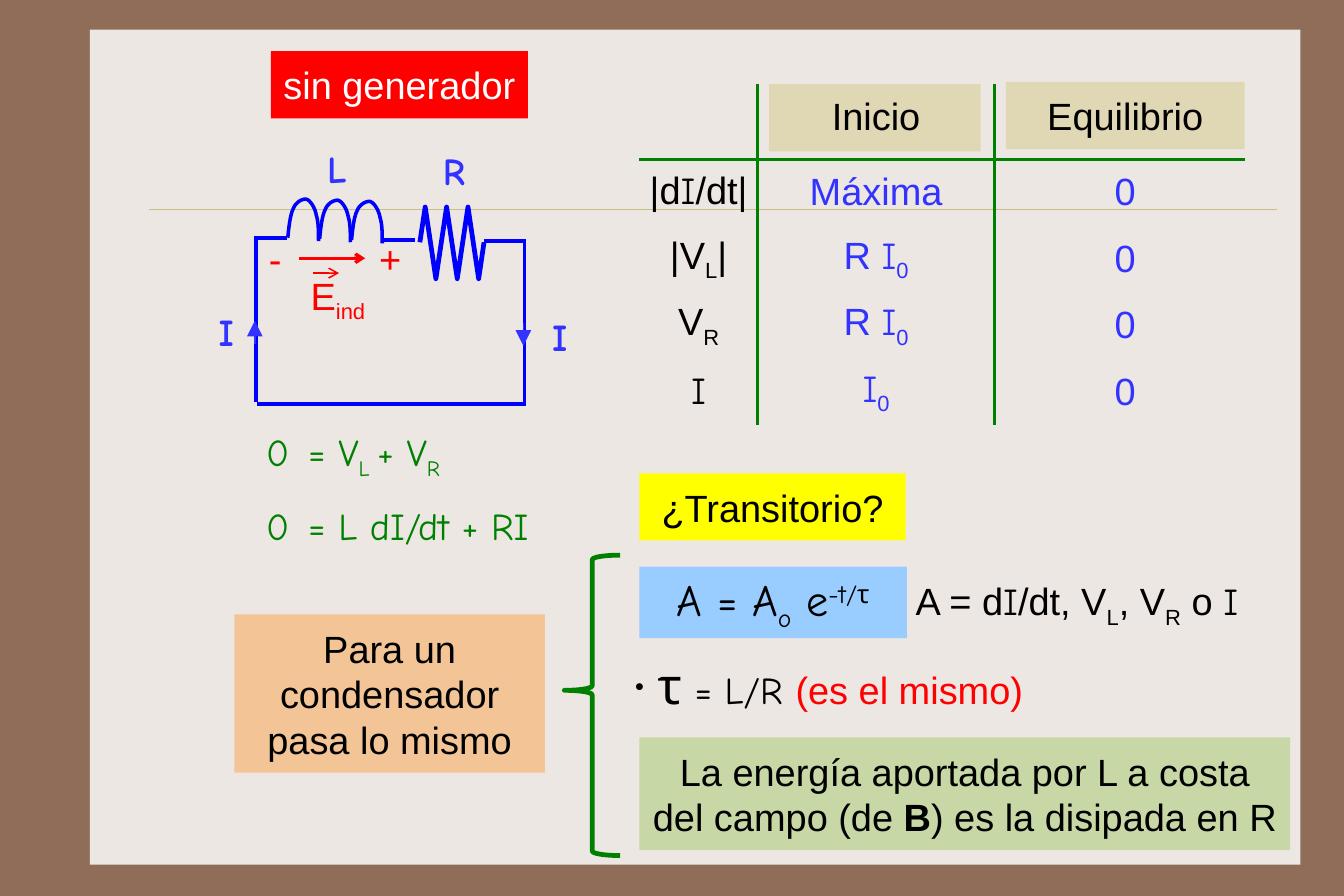
from lxml.etree import SubElement
from pptx import Presentation
from pptx.dml.color import RGBColor
from pptx.enum.shapes import MSO_CONNECTOR as Link, MSO_SHAPE as Form
from pptx.enum.text import MSO_ANCHOR as Anchor, MSO_AUTO_SIZE as Fit, PP_ALIGN as Align
from pptx.oxml.ns import qn
from pptx.util import Inches, Pt

UNIT = Inches(0.1)
HIGH = Inches(63 / 8)
WIDE = Inches(189 / 16)
HAND = "Comic Neue"
HUES = {
    "brown": "906D58", "paper": "EDE7E3", "rule": "CBBD83", "sand": "E0D7B5",
    "green": "008000", "yellow": "FFFF00", "sage": "C7D7A5", "peach": "F3C495",
    "red": "FF0000", "white": "FFFFFF", "black": "000000", "wire": "0000FF",
    "blue": "3333FF", "sky": "99CCFF",
}
SUB = {"base": -25}
AMPS = ("I", {"font": HAND})
PLAIN = "{2D5ABB26-0587-4C30-8999-92F81FD0307C}"
COIL = [(0, 3.4), (0.1, 2.4), (0.2, 1.4), (0.5, 0.8), (0.7, 0.3), (1.2, 0), (1.6, 0),
        (2, 0.1), (2.4, 0.8), (2.5, 1.4), (2.7, 2), (2.7, 2.8), (2.7, 3.7)]


def hue(name):
    return RGBColor.from_string(HUES[name])


def emu(units):
    return [round(u * UNIT) for u in units]


def sub(box, x, y, w, h):
    return box[0] + x, box[1] + y, w, h


def write(frame, runs, size=24, font="Arial", color="black", bold=False, align=Align.CENTER):
    para = frame.paragraphs[0]
    para.alignment = align
    para.space_before = Pt(0)
    for item in [runs] if isinstance(runs, str) else runs:
        text, own = (item, {}) if isinstance(item, str) else item
        run = para.add_run()
        run.text = text
        run.font.size = Pt(own.get("size", size))
        run.font.name = own.get("font", font)
        run.font.bold = own.get("bold", bold)
        run.font.color.rgb = hue(own.get("color", color))
        if "base" in own:
            run._r.get_or_add_rPr().set("baseline", str(own["base"] * 1000))
    return para


def fill(shape, name):
    shape.fill.solid()
    shape.fill.fore_color.rgb = hue(name)


def pane(slide, box, name):
    shape = slide.shapes.add_shape(Form.RECTANGLE, *emu(box))
    shape.shadow.inherit = False
    fill(shape, name)
    shape.line.fill.background()
    return shape


def setup(frame, wrap):
    frame.auto_size = Fit.NONE
    frame.word_wrap = wrap
    frame.vertical_anchor = Anchor.MIDDLE
    frame.margin_left = frame.margin_right = Inches(0.1)
    frame.margin_top = frame.margin_bottom = Inches(0.05)


def put(slide, box, runs, back=None, wrap=False, **style):
    shape = pane(slide, box, back) if back else slide.shapes.add_textbox(*emu(box))
    setup(shape.text_frame, wrap)
    return write(shape.text_frame, runs, **style)


def draw(slide, box, start, end, color="wire", width=2.25, head=None, size="med"):
    ends = [a + b for a, b in zip(box[:2] * 2, start + end)]
    line = slide.shapes.add_connector(Link.STRAIGHT, *emu(ends))
    line.line.color.rgb = hue(color)
    line.line.width = Pt(width)
    if head:
        SubElement(line.line._get_or_add_ln(), qn("a:tailEnd"), type=head, w=size, len=size)
    SubElement(line._element.spPr, qn("a:effectLst"))
    return line


def trace(slide, box, points, width):
    dots = [emu((box[0] + x, box[1] + y)) for x, y in points]
    pen = slide.shapes.build_freeform(*dots[0], scale=1.0)
    pen.add_line_segments(dots[1:], close=False)
    shape = pen.convert_to_shape()
    shape.shadow.inherit = False
    shape.fill.background()
    shape.line.color.rgb = hue("wire")
    shape.line.width = Pt(width)


def curve(points, steps=8):
    path = [points[0]]
    for first in range(0, len(points) - 1, 3):
        part = points[first:first + 4]
        for step in range(1, steps + 1):
            t = step / steps
            mix = ((1 - t) ** 3, 3 * t * (1 - t) ** 2, 3 * t * t * (1 - t), t ** 3)
            path.append(tuple(sum(m * p[axis] for m, p in zip(mix, part)) for axis in (0, 1)))
    return path


def place(shape, box):
    shape.left, shape.top, shape.width, shape.height = emu(box)


def scene(slide, box):
    slide.background.fill.solid()
    slide.background.fill.fore_color.rgb = hue("brown")
    sheet = pane(slide, box, "paper")
    rule = draw(slide, box, (5.2, 15.8), (104.3, 15.8), "rule", 0.25)
    tree = slide.shapes._spTree
    tree.insert(2, sheet._element)
    tree.insert(3, rule._element)


def title(slide, box):
    shape = slide.shapes.title
    place(shape, box)
    fill(shape, "red")
    setup(shape.text_frame, False)
    write(shape.text_frame, "sin generador", color="white")


def circuit(slide, box):
    wires = [((4.3, 8.9), (7.2, 8.9)), ((15.6, 9.1), (18.5, 9.1)), ((24.5, 9.2), (28.2, 9.2)),
             ((4.5, 8.9), (4.5, 23.3)), ((28.1, 9.2), (28.1, 23.6)), ((4.6, 23.5), (28.2, 23.5))]
    for start, end in wires:
        draw(slide, box, start, end)
    for turn in range(3):
        shift = 7.3 + 2.8 * turn, 5.5 + 0.1 * turn
        trace(slide, box, [(x + shift[0], y + shift[1]) for x, y in curve(COIL)], 2.25)
    level = {0: 9.3, 12: 9.3, 1: 6.2, 3: 12.5, 5: 6.2, 7: 12.5, 9: 6.2, 11: 12.5}
    trace(slide, box, [(18.9 + 0.47 * n, level[n]) for n in sorted(level)], 3)
    for name, x, y in [("L", 9.7, 0.3), ("R", 20, 0.5), ("I", 0, 14.7), ("I", 29.3, 15.1)]:
        put(slide, sub(box, x, y, 3.8, 4.9), name, font=HAND, color="blue", bold=True)
    draw(slide, box, (4.4, 18.2), (4.4, 16.2), "blue", 1, "triangle", "lg")
    draw(slide, box, (28, 16.4), (28, 18.4), "blue", 1, "triangle", "lg")
    for sign, x in [("-", 4.2), ("+", 14.3)]:
        put(slide, sub(box, x, 8.2, 4, 5), sign, color="red")
    draw(slide, box, (8.3, 10.7), (14.1, 10.7), "red", 2, "arrow")
    draw(slide, box, (9.5, 12), (11.8, 12), "red", 1, "arrow")
    put(slide, sub(box, 8.1, 11.7, 7.2, 5), ["E", ("ind", SUB)], color="red")


def sums(slide, box):
    rows = [["0\t= V", ("L ", SUB), "+ V", ("R", SUB)], ["0\t= L dI/dt + RI"]]
    for row, runs in enumerate(rows):
        para = put(slide, sub(box, 0, 6.2 * row, box[2], 4.9), runs,
                   font=HAND, color="green", align=Align.LEFT)
        tabs = SubElement(para._p.get_or_add_pPr(), qn("a:tabLst"))
        SubElement(tabs, qn("a:tab"), pos=str(Inches(0.37)), algn="l")


def edge(cell, side, shown):
    line = SubElement(cell._tc.get_or_add_tcPr(), qn("a:" + side), w=str(Pt(2.25)))
    if shown:
        SubElement(SubElement(line, qn("a:solidFill")), qn("a:srgbClr"), val=HUES["green"])
    else:
        SubElement(line, qn("a:noFill"))


def table(slide, box):
    pane(slide, sub(box, 11.4, 0, 18.6, 5.9), "sand")
    pane(slide, sub(box, 32.2, -0.2, 21, 5.9), "sand")
    zero = ("0", SUB)
    rows = [["", "Inicio", "Equilibrio"],
            [["|d", AMPS, "/dt|"], "Máxima", "0"],
            [["|V", ("L", SUB), "|"], ["R ", AMPS, zero], "0"],
            [["V", ("R", SUB)], ["R ", AMPS, zero], "0"],
            [[AMPS], [AMPS, zero], "0"]]
    grid = slide.shapes.add_table(5, 3, *emu(box)).table
    grid._tbl.tblPr[0].text = PLAIN
    grid.first_row = grid.horz_banding = False
    for col, width in zip(grid.columns, emu((10.4, 20.8, 22))):
        col.width = width
    for row, height in zip(grid.rows, emu([6.6] + [5.85] * 4)):
        row.height = height
    for r, row in enumerate(rows):
        for c, runs in enumerate(row):
            cell = grid.cell(r, c)
            cell.margin_left = Inches(0.1 if c == 2 else 0)
            cell.margin_right = 0
            cell.margin_top = Inches(0.03)
            cell.margin_bottom = Inches(0.03 if r else 0.1)
            cell.vertical_anchor = Anchor.MIDDLE
            sides = {"lnL": c > 0, "lnR": c < 2, "lnT": r == 1, "lnB": r == 0}
            for side, shown in sides.items():
                edge(cell, side, shown)
            cell.fill.background()
            if runs:
                write(cell.text_frame, runs, color="blue" if r and c else "black")


def listing(slide, box):
    body = slide.placeholders[1]
    place(body, box)
    setup(body.text_frame, False)
    props = body.text_frame.paragraphs[0]._p.get_or_add_pPr()
    props.set("marL", str(Inches(0.21)))
    props.set("indent", str(-Inches(0.21)))
    SubElement(props, qn("a:buSzPct"), val="75000")
    SubElement(props, qn("a:buFont"), typeface=HAND)
    SubElement(props, qn("a:buChar"), char="•")
    write(body.text_frame, [("τ", {"size": 32}), " = L/R ",
                            ("(es el mismo)", {"font": "Arial", "color": "red"})],
          font=HAND, align=Align.LEFT)


def answer(slide, box):
    put(slide, sub(box, 0, 0, 23.4, 5.9), "¿Transitorio?", back="yellow")
    put(slide, sub(box, 0, 8.2, 23.5, 6.3), ["A = A", ("o", SUB), " e", ("-t/τ", {"base": 30})],
        back="sky", size=28, font=HAND)
    put(slide, sub(box, 23.3, 8.5, 32.7, 5.9),
        ["A = d", AMPS, "/dt, V", ("L", SUB), ", V", ("R", SUB), " o ", AMPS], align=Align.LEFT)
    listing(slide, sub(box, -1.5, 15.4, 37.8, 6.3))
    put(slide, sub(box, 0, 23.2, 57.2, 9.9),
        ["La energía aportada por L a costa del campo (de ", ("B", {"bold": True}),
         ") es la disipada en R"], back="sage", wrap=True)


def note(slide, box):
    put(slide, sub(box, 0, 5.2, 27.3, 13.9), "Para un condensador pasa lo mismo",
        back="peach", wrap=True)
    brace = slide.shapes.add_shape(Form.LEFT_BRACE, *emu(sub(box, 29, 0, 4.9, 26.4)))
    brace.adjustments[0], brace.adjustments[1] = 0.08, 0.45
    brace.shadow.inherit = False
    brace.fill.background()
    brace.line.color.rgb = hue("green")
    brace.line.width = Pt(3)


def main():
    deck = Presentation()
    deck.slide_width = WIDE
    deck.slide_height = HIGH
    slide = deck.slides.add_slide(deck.slide_layouts[1])
    scene(slide, (7.9, 2.6, 106.4, 73.4))
    title(slide, (23.8, 4.5, 22.6, 5.9))
    circuit(slide, (18, 12, 33, 25))
    sums(slide, (22.4, 37.5, 27.3, 11.1))
    table(slide, (56.2, 7.4, 53.2, 30))
    answer(slide, (56.2, 41.6, 57.2, 33.1))
    note(slide, (20.6, 48.8, 33.9, 26.4))
    deck.save("out.pptx")


if __name__ == "__main__":
    main()
